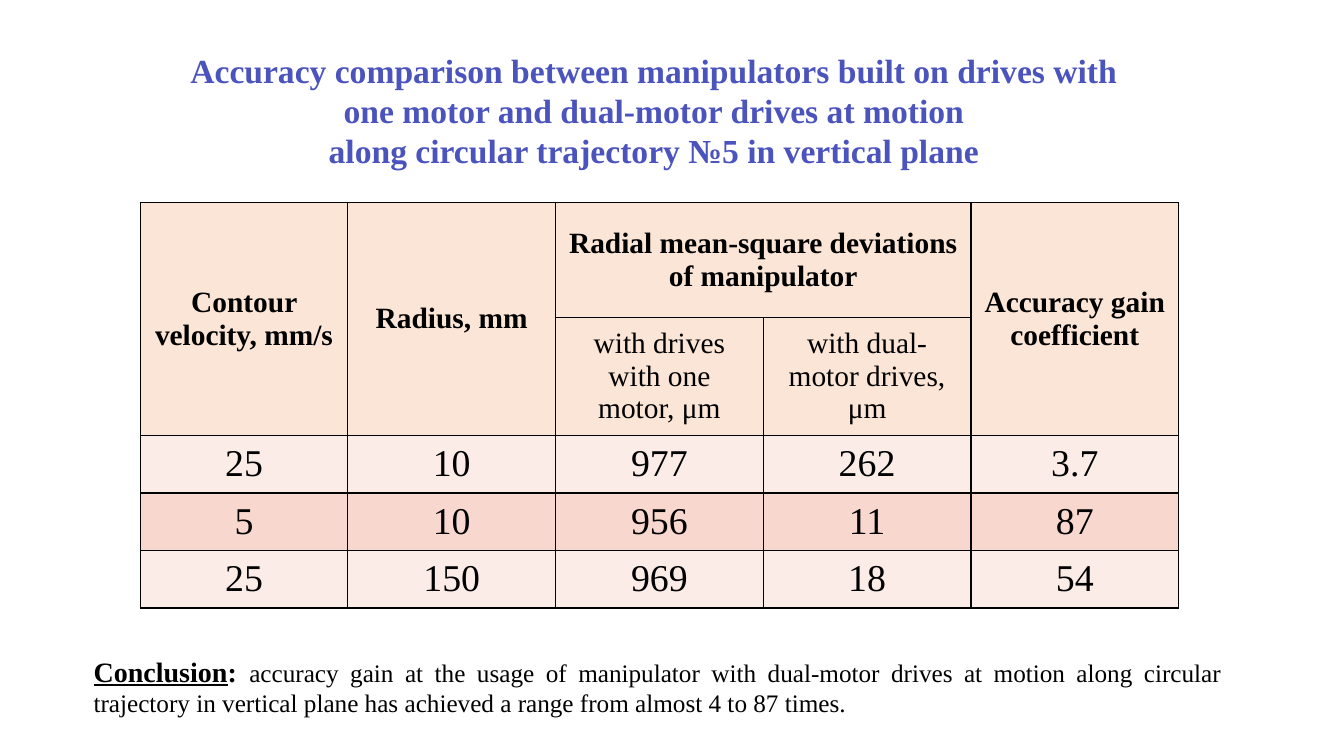
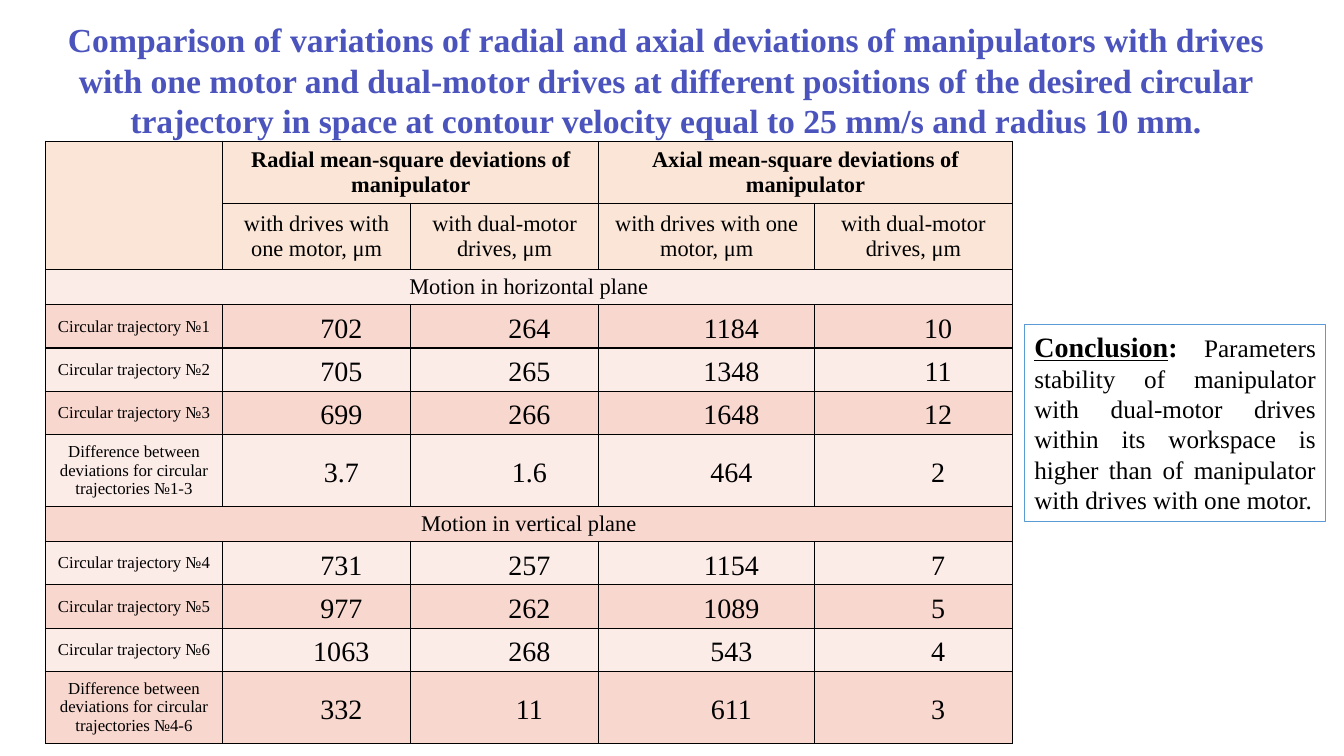
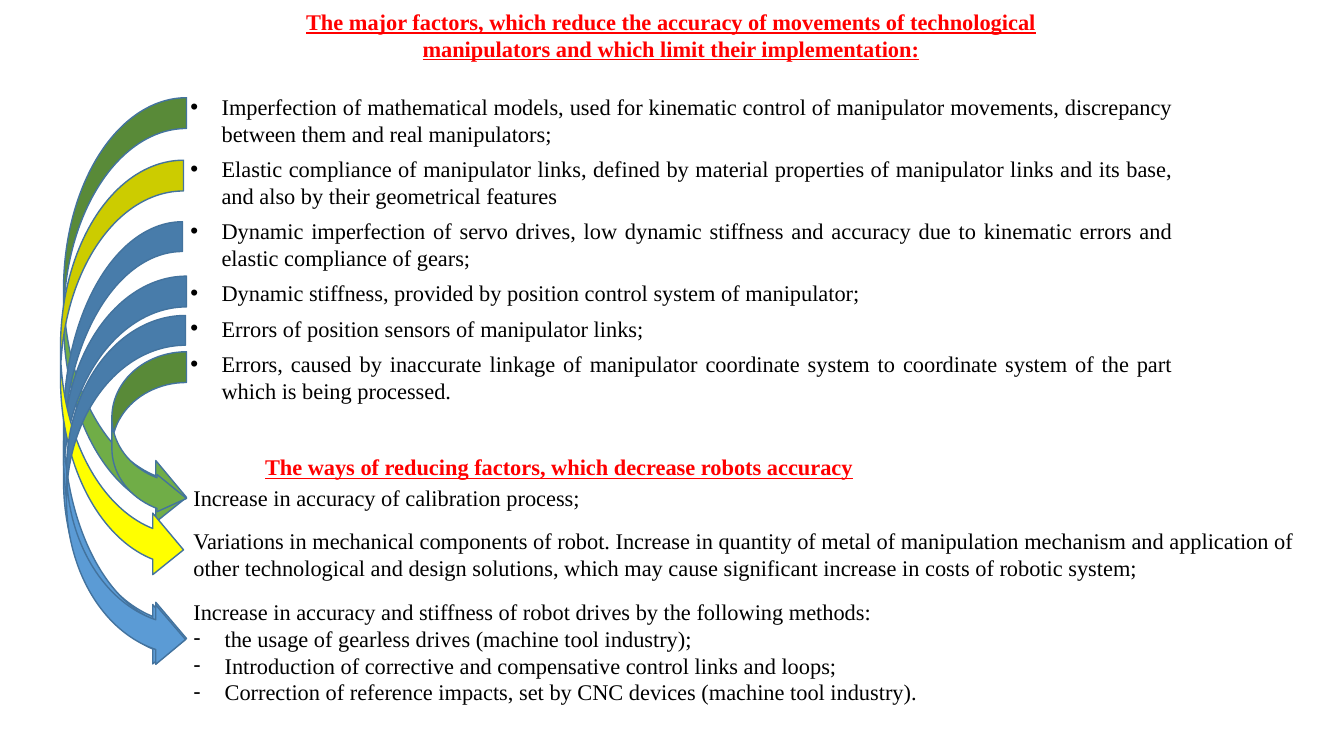
from dataclasses import dataclass

from lxml.etree import SubElement
from pptx import Presentation
from pptx.dml.color import RGBColor
from pptx.enum.shapes import MSO_SHAPE
from pptx.enum.text import MSO_ANCHOR, MSO_AUTO_SIZE, PP_ALIGN
from pptx.oxml.ns import qn
from pptx.util import Inches, Pt


@dataclass(frozen=True)
class Theme:
    font: str = "Times New Roman"
    black: str = "000000"
    title: str = "4B53BD"
    red: str = "FF0000"
    header: str = "FBE5D6"
    bands: tuple = ("FCECE8", "F8D7CE")
    blue: str = "5B9BD5"
    green: str = "70AD47"
    yellow: str = "FFFF00"
    arrow_line: str = "43739E"
    title_size: float = 24
    lead_size: float = 20
    text_size: float = 18
    list_size: float = 16
    label_size: float = 12
    head_size: float = 21
    value_size: float = 27


T = Theme()
CENTER, JUSTIFY, LEFT = PP_ALIGN.CENTER, PP_ALIGN.JUSTIFY, PP_ALIGN.LEFT
WIDE, MEDIUM, NARROW = (0.11, 0.06), (0.08, 0.04), (0.07, 0)


def write(tf, text, size=T.list_size, color=T.black, bold=False, underline=False,
          align=CENTER, margin=0, indent=0, bullet=None, before=0, spacing=None,
          join=False):
    """Add text as a new paragraph, or as a run of the last one if join is set."""
    p = tf.paragraphs[-1]
    if not join:
        if p.runs:
            p = tf.add_paragraph()
        pPr = p._p.get_or_add_pPr()
        pPr.set("marL", str(Inches(margin)))
        pPr.set("indent", str(Inches(indent)))
        if bullet:
            SubElement(pPr, qn("a:buFont")).set("typeface", "Arial")
            SubElement(pPr, qn("a:buChar")).set("char", bullet)
        p.alignment = align
        p.space_before = Pt(before)
        if spacing:
            p.line_spacing = spacing
    r = p.add_run()
    r.text = text
    r.font.name, r.font.size = T.font, Pt(size)
    r.font.bold, r.font.underline = bold, underline
    r.font.color.rgb = RGBColor.from_string(color)


def add_grid(s, left, top, widths, heights):
    """Add a bordered table with two header rows and banded rows below."""
    table = s.shapes.add_table(len(heights), len(widths), Inches(left), Inches(top),
                               Inches(sum(widths)), Inches(sum(heights))).table
    table.first_row = table.horz_banding = False
    for column, width in zip(table.columns, widths):
        column.width = Inches(width)
    for i, (row, height) in enumerate(zip(table.rows, heights)):
        row.height = Inches(height)
        for cell in row.cells:
            tcPr = cell._tc.get_or_add_tcPr()
            for side in ("a:lnL", "a:lnR", "a:lnT", "a:lnB"):
                ln = SubElement(tcPr, qn(side), w=str(Pt(1)))
                SubElement(SubElement(ln, qn("a:solidFill")), qn("a:srgbClr"), val=T.black)
            cell.fill.solid()
            cell.fill.fore_color.rgb = RGBColor.from_string(
                T.header if i < 2 else T.bands[i % 2])
            cell.vertical_anchor = MSO_ANCHOR.MIDDLE
    return table


prs = Presentation()
prs.slide_width, prs.slide_height = Inches(13.33), Inches(7.5)

# Slides and titles
blue_title = dict(size=T.title_size, color=T.title, bold=True)
red_title = dict(size=T.list_size, color=T.red, bold=True, underline=True)
titles = [
    ((1.51, 0.44, 9.95, 1.31), blue_title,
     ["Accuracy comparison between manipulators built on drives with one motor and "
      "dual-motor drives at motion",
      "along circular trajectory №5 in vertical plane"]),
    ((0.33, 0.14, 12.55, 1.31), blue_title,
     ["Comparison of variations of radial and axial deviations of manipulators with "
      "drives with one motor and dual-motor drives at different positions of the desired "
      "circular trajectory in space at contour velocity equal to 25 mm/s and radius 10 mm."]),
    ((2.53, 0.03, 8.25, 0.64), red_title,
     ["The major factors, which reduce the accuracy of movements of technological "
      "manipulators and which limit their implementation:"]),
]
slides = []
for box, style, lines in titles:
    s = prs.slides.add_slide(prs.slide_layouts[5])
    sp = s.shapes.title
    sp.left, sp.top, sp.width, sp.height = map(Inches, box)
    tf = sp.text_frame
    tf.word_wrap, tf.auto_size = True, MSO_AUTO_SIZE.SHAPE_TO_FIT_TEXT
    tf.vertical_anchor = MSO_ANCHOR.TOP
    for line in lines:
        write(tf, line, **style)
    slides.append(s)
accuracy, variation, factors = slides

one_motor, dual_motor = "with drives with one motor, μm", "with dual-motor drives, μm"
radial, axial = (f"{kind} mean-square deviations of manipulator" for kind in ("Radial", "Axial"))

# Accuracy table
table = add_grid(accuracy, 1.39, 2.01, [2.06] * 5, [1.14] * 2 + [0.57] * 3)
for col in (0, 1, 4):
    table.cell(0, col).merge(table.cell(1, col))
table.cell(0, 2).merge(table.cell(0, 3))
accuracy_rows = [
    ("Contour velocity, mm/s", "Radius, mm", radial, "", "Accuracy gain coefficient"),
    ("", "", one_motor, dual_motor, ""),
    ("25", "10", "977", "262", "3.7"),
    ("5", "10", "956", "11", "87"),
    ("25", "150", "969", "18", "54"),
]
for i, row in enumerate(accuracy_rows):
    for j, text in enumerate(row):
        if text:
            cell = table.cell(i, j)
            cell.margin_left = cell.margin_right = Inches(WIDE[0])
            cell.margin_top = cell.margin_bottom = Inches(WIDE[1])
            write(cell.text_frame, text, bold=i == 0,
                  size=T.head_size if i < 2 else T.value_size)

# Variation table
plane_heights = [0.35, 0.43, 0.43, 0.43, 0.71]
table = add_grid(variation, 0.45, 1.4, [1.76, 1.86, 1.87, 2.14, 1.96],
                 [0.62] * 2 + plane_heights * 2)
for first, last in (((0, 0), (1, 0)), ((0, 1), (0, 2)), ((0, 3), (0, 4)),
                    ((2, 0), (2, 4)), ((7, 0), (7, 4))):
    table.cell(*first).merge(table.cell(*last))
variation_rows = [
    ("", radial, "", axial, ""),
    ("", one_motor, dual_motor, one_motor, dual_motor),
    ("Motion in horizontal plane",),
    ("Circular trajectory №1", "702", "264", "1184", "10"),
    ("Circular trajectory №2", "705", "265", "1348", "11"),
    ("Circular trajectory №3", "699", "266", "1648", "12"),
    ("Difference between deviations for circular trajectories №1-3",
     "3.7", "1.6", "464", "2"),
    ("Motion in vertical plane",),
    ("Circular trajectory №4", "731", "257", "1154", "7"),
    ("Circular trajectory №5", "977", "262", "1089", "5"),
    ("Circular trajectory №6", "1063", "268", "543", "4"),
    ("Difference between deviations for circular trajectories №4-6",
     "332", "11", "611", "3"),
]
for i, row in enumerate(variation_rows):
    for j, text in enumerate(row):
        if not text:
            continue
        if i < 2:
            margins, style = (MEDIUM, WIDE)[i], dict(bold=i == 0)
        elif len(row) == 1:
            margins, style = MEDIUM, {}
        elif j == 0:
            margins, style = MEDIUM, dict(size=T.label_size)
        else:
            margins, style = NARROW, dict(size=T.lead_size, indent=0.49, spacing=1.15)
        cell = table.cell(i, j)
        cell.margin_left = cell.margin_right = Inches(margins[0])
        cell.margin_top = cell.margin_bottom = Inches(margins[1])
        write(cell.text_frame, text, **style)

# Conclusions
note = accuracy.shapes.add_textbox(*map(Inches, (0.83, 6.44, 11.39, 0.74)))
panel = variation.shapes.add_shape(MSO_SHAPE.RECTANGLE,
                                   *map(Inches, (10.16, 3.22, 2.99, 1.95)))
panel.shadow.inherit = False
panel.fill.background()
panel.line.color.rgb, panel.line.width = RGBColor.from_string(T.blue), Pt(0.75)
for sp, text in (
    (note, "accuracy gain at the usage of manipulator with dual-motor drives at motion along "
           "circular trajectory in vertical plane has achieved a range from almost 4 to 87 times."),
    (panel, "Parameters stability of manipulator with dual-motor drives within its workspace "
            "is higher than of manipulator with drives with one motor."),
):
    tf = sp.text_frame
    tf.word_wrap, tf.auto_size = True, MSO_AUTO_SIZE.SHAPE_TO_FIT_TEXT
    tf.vertical_anchor = MSO_ANCHOR.TOP
    write(tf, "Conclusion", size=T.lead_size, bold=True, underline=True, align=JUSTIFY)
    write(tf, ": ", size=T.lead_size, bold=True, join=True)
    write(tf, text, size=T.text_size, join=True)

# Factors and ways of reducing them
item = dict(align=JUSTIFY, margin=0.31, indent=-0.31)
factor = dict(item, bullet="•", before=6)
method = dict(item, bullet="-")
way = dict(align=LEFT, before=12)
text_boxes = [
    ((1.79, 0.86, 9.94, 3.21), True, MSO_ANCHOR.MIDDLE, [
        ("Imperfection of mathematical models, used for kinematic control of manipulator "
         "movements, discrepancy between them and real manipulators;", dict(factor, before=0)),
        ("Elastic compliance of manipulator links, defined by material properties of "
         "manipulator links and its base, and also by their geometrical features", factor),
        ("Dynamic imperfection of servo drives, low dynamic stiffness and accuracy due to "
         "kinematic errors and elastic compliance of gears;", factor),
        ("Dynamic stiffness, provided by position control system of manipulator;", factor),
        ("Errors of position sensors of manipulator links;", factor),
        ("Errors, caused by inaccurate linkage of manipulator coordinate system to coordinate "
         "system of the part which is being processed.", factor),
    ]),
    ((1.82, 4.75, 11.37, 2.32), True, MSO_ANCHOR.TOP, [
        ("Increase in accuracy of calibration process;", dict(way, before=0)),
        ("Variations in mechanical components of robot. Increase in quantity of metal of "
         "manipulation mechanism and application of other technological and design solutions, "
         "which may cause significant increase in costs of robotic system;", way),
        ("Increase in accuracy and stiffness of robot drives by the following methods:",
         dict(way, align=JUSTIFY)),
        ("the usage of gearless drives (machine tool industry);", method),
        ("Introduction of corrective and compensative control links and loops;", method),
        ("Correction of reference impacts, set by CNC devices (machine tool industry).", method),
    ]),
    ((2.53, 4.45, 6.11, 0.37), False, MSO_ANCHOR.TOP, [
        ("The ways of reducing factors, which decrease robots accuracy",
         dict(red_title, align=LEFT)),
    ]),
]
for box, wrap, anchor, lines in text_boxes:
    tf = factors.shapes.add_textbox(*map(Inches, box)).text_frame
    tf.word_wrap, tf.auto_size = wrap, MSO_AUTO_SIZE.SHAPE_TO_FIT_TEXT
    tf.vertical_anchor = anchor
    for text, style in lines:
        write(tf, text, **style)

# Arrows from factors to ways
usual = (0.25, 0.5, 0.25)
for box, color, adjustments in (
    ((0.63, 0.97, 1.22, 4.27), T.green, usual),
    ((1.11, 3.49, 0.74, 1.64), T.green, (0.412, 0.5, 0.395)),
    ((0.63, 2.74, 1.22, 3.9), T.blue, usual),
    ((0.63, 2.2, 1.18, 4.45), T.blue, usual),
    ((0.6, 1.59, 1.22, 4.17), T.yellow, usual),
    ((0.66, 3.13, 1.18, 3.51), T.blue, usual),
):
    sp = factors.shapes.add_shape(MSO_SHAPE.CURVED_RIGHT_ARROW, *map(Inches, box))
    sp.shadow.inherit = False
    for k, value in enumerate(adjustments):
        sp.adjustments[k] = value
    sp.fill.solid()
    sp.fill.fore_color.rgb = RGBColor.from_string(color)
    sp.line.color.rgb, sp.line.width = RGBColor.from_string(T.arrow_line), Pt(1)

prs.save("out.pptx")
